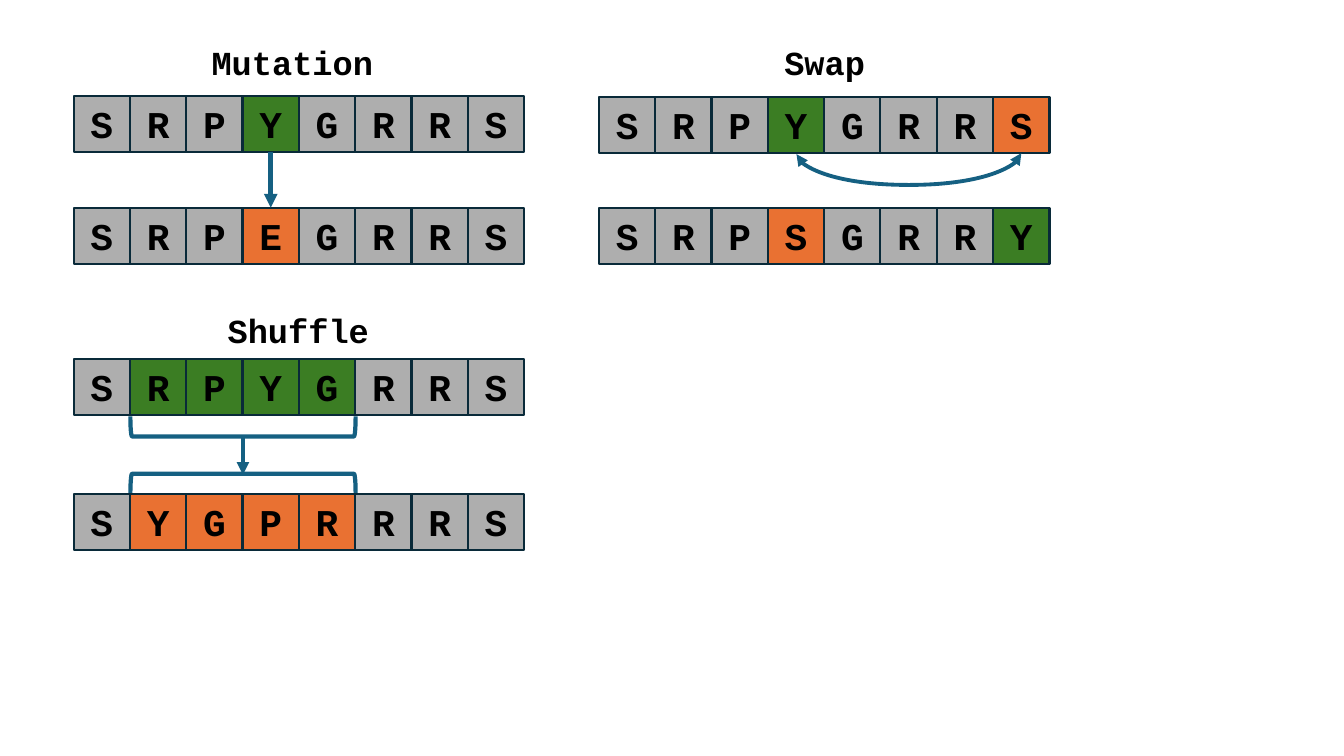
from lxml import etree
from pptx import Presentation
from pptx.dml.color import RGBColor
from pptx.enum import shapes, text
from pptx.oxml import ns
from pptx.util import Inches, Pt

GREY = RGBColor(0xAE, 0xAE, 0xAE)
GREEN = RGBColor(0x3B, 0x7D, 0x23)
ORANGE = RGBColor(0xE9, 0x71, 0x32)
OUTLINE = RGBColor(0x09, 0x2A, 0x39)
BLUE = RGBColor(0x15, 0x60, 0x82)
BLACK = RGBColor(0, 0, 0)

FONT = "Courier New"
CELL = 0.56
PITCH = 3.91 / 7  # eight cells, first to last left edge
LEFT_COLUMN, RIGHT_COLUMN = 0.73, 5.94


def write(shape, words, size, align=text.PP_ALIGN.LEFT):
    """Put one bold paragraph at the top of a shape."""
    frame = shape.text_frame
    frame.word_wrap = False
    frame.vertical_anchor = text.MSO_ANCHOR.TOP
    paragraph = frame.paragraphs[0]
    paragraph.alignment = align
    run = paragraph.add_run()
    run.text = words
    run.font.name = FONT
    run.font.size = Pt(size)
    run.font.bold = True
    run.font.color.rgb = BLACK


def add_title(slide, words, left, top, width):
    box = slide.shapes.add_textbox(
        Inches(left), Inches(top), Inches(width), Inches(0.5))
    write(box, words, size=24)


def add_sequence(slide, letters, left, top, marks):
    """Draw a row of letter cells; marks maps a cell index to its fill."""
    cells = []
    for index, letter in enumerate(letters):
        cell = slide.shapes.add_shape(
            shapes.MSO_SHAPE.RECTANGLE, Inches(left + index * PITCH),
            Inches(top), Inches(CELL), Inches(CELL))
        cell.shadow.inherit = False
        cell.fill.solid()
        cell.fill.fore_color.rgb = marks.get(index, GREY)
        cell.line.color.rgb = OUTLINE
        cell.line.width = Pt(1.5)
        write(cell, letter, size=27, align=text.PP_ALIGN.CENTER)
        cells.append(cell)
    return cells


def add_bracket(slide, center_x, center_y, rotation):
    width, height = 0.2, 4 * PITCH
    bracket = slide.shapes.add_shape(
        shapes.MSO_SHAPE.LEFT_BRACKET, Inches(center_x - width / 2),
        Inches(center_y - height / 2), Inches(width), Inches(height))
    bracket.rotation = rotation
    bracket.shadow.inherit = False
    bracket.fill.background()
    bracket.line.color.rgb = BLUE
    bracket.line.width = Pt(3)


def add_arrow(slide, start, end, width, kind=shapes.MSO_CONNECTOR.STRAIGHT,
              ends=("tailEnd",)):
    arrow = slide.shapes.add_connector(
        kind, *(Inches(value) for value in start + end))
    arrow.line.color.rgb = BLUE
    arrow.line.width = Pt(width)
    line = arrow.line._get_or_add_ln()
    for name in ends:
        etree.SubElement(line, ns.qn(f"a:{name}"), type="triangle")
    etree.SubElement(arrow._element.spPr, ns.qn("a:effectLst"))
    return arrow


def add_swap_curve(slide):
    """Double-headed curve: a vertical connector turned a quarter."""
    curve = add_arrow(slide, (9.02, 2.64), (9.01, 0.41), 2.75,
                      kind=shapes.MSO_CONNECTOR.CURVE,
                      ends=("headEnd", "tailEnd"))
    properties = curve._element.spPr
    properties.find(ns.qn("a:xfrm")).set("rot", str(90 * 60000))
    adjustments = properties.find(ns.qn("a:prstGeom")).find(ns.qn("a:avLst"))
    etree.SubElement(adjustments, ns.qn("a:gd"),
                     name="adj1", fmla="val -3100000")


def main():
    presentation = Presentation()
    presentation.slide_width = Inches(13.33)
    presentation.slide_height = Inches(7.5)
    slide = presentation.slides.add_slide(presentation.slide_layouts[6])

    # Swap: two cells trade places
    add_title(slide, "Swap", 7.68, 0.37, 1.05)
    add_sequence(slide, "SRPYGRRS", RIGHT_COLUMN, 0.96, {3: GREEN, 7: ORANGE})
    add_sequence(slide, "SRPSGRRY", RIGHT_COLUMN, 2.06, {3: ORANGE, 7: GREEN})
    add_swap_curve(slide)

    # Mutation: one cell changes
    add_title(slide, "Mutation", 2, 0.37, 1.81)
    before = add_sequence(slide, "SRPYGRRS", LEFT_COLUMN, 0.95, {3: GREEN})
    after = add_sequence(slide, "SRPEGRRS", LEFT_COLUMN, 2.06, {3: ORANGE})
    arrow = add_arrow(slide, (2.69, 1.51), (2.69, 2.06), 3.25)
    arrow.begin_connect(before[3], 2)
    arrow.end_connect(after[3], 0)

    # Shuffle: a run of four cells is reordered
    add_title(slide, "Shuffle", 2.16, 3.03, 1.6)
    shuffled = range(1, 5)
    add_sequence(slide, "SRPYGRRS", LEFT_COLUMN, 3.56,
                 dict.fromkeys(shuffled, GREEN))
    add_bracket(slide, 2.41, 4.23, rotation=270)
    add_bracket(slide, 2.41, 4.8, rotation=90)
    add_sequence(slide, "SYGPRRRS", LEFT_COLUMN, 4.9,
                 dict.fromkeys(shuffled, ORANGE))
    add_arrow(slide, (2.41, 4.33), (2.41, 4.71), 3)

    presentation.save("out.pptx")


if __name__ == "__main__":
    main()
